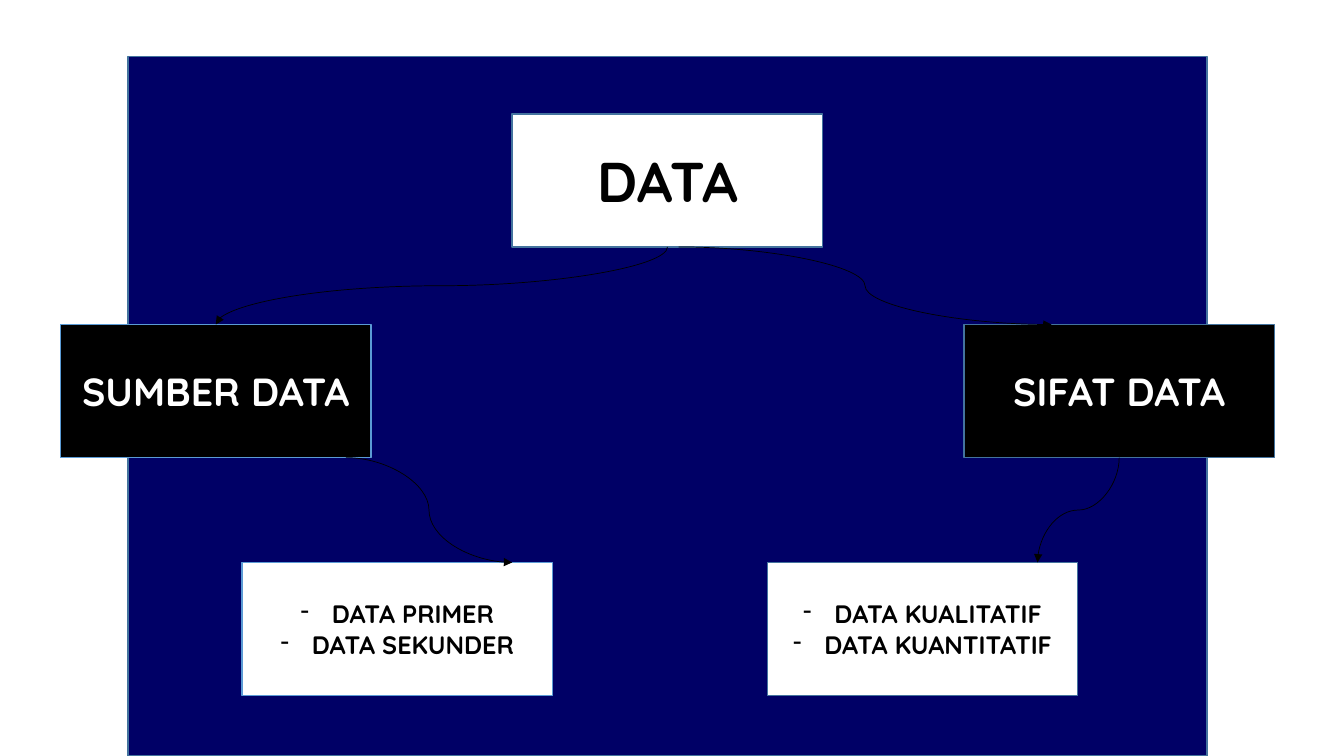
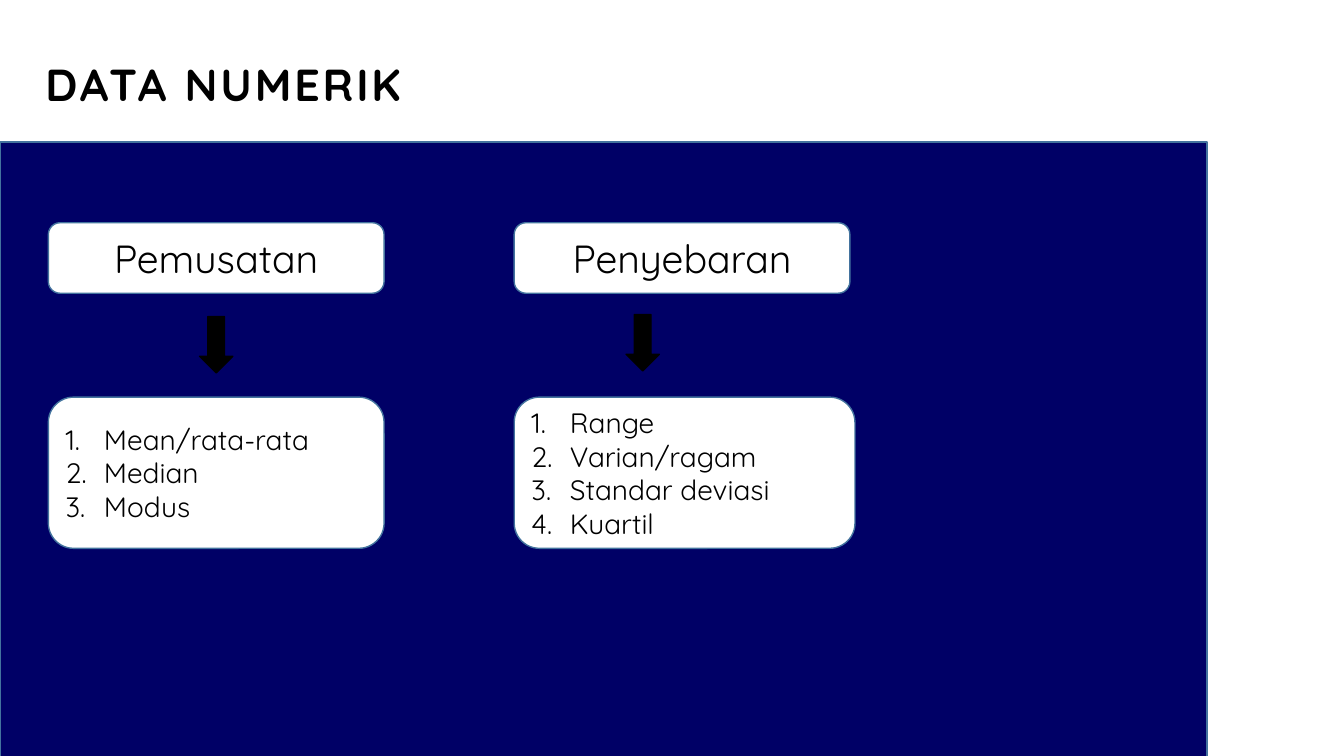
from lxml import etree
from pptx import Presentation
from pptx.dml.color import RGBColor
from pptx.enum import shapes, text
from pptx.oxml.ns import qn
from pptx.util import Inches, Pt

COLORS = {"navy": "000066", "white": "FFFFFF", "black": "000000",
          "edge": "43739E", "sky": "5B9BD5"}
FONT = "Quicksand"
SHAPE = shapes.MSO_SHAPE
ALIGN = text.PP_ALIGN


def rgb(name):
    return RGBColor.from_string(COLORS[name])


def add_bullet(p, tag, indent, **attrs):
    """Give a paragraph a hanging bullet or number."""
    pPr = p._p.get_or_add_pPr()
    pPr.set("marL", str(Inches(indent)))
    pPr.set("indent", str(-Inches(indent)))
    etree.SubElement(pPr, qn(tag), attrs)


def write(sp, lines, size=18, color="black", bold=False, align=ALIGN.CENTER,
          spacing=None, bullet=None):
    """Fill a shape with one paragraph per line."""
    tf = sp.text_frame
    tf.word_wrap = True
    tf.vertical_anchor = text.MSO_ANCHOR.MIDDLE
    for i, line in enumerate(lines):
        p = tf.add_paragraph() if i else tf.paragraphs[0]
        p.alignment = align
        if bullet:
            add_bullet(p, **bullet)
        r = p.add_run()
        r.text = line
        r.font.name, r.font.size, r.font.bold = FONT, Pt(size), bold
        r.font.color.rgb = rgb(color)
        if spacing:
            r._r.get_or_add_rPr().set("spc", str(spacing * 100))


def add_box(s, kind, box, fill="white", line="edge"):
    sp = s.shapes.add_shape(kind, *map(Inches, box))
    sp.shadow.inherit = False
    sp.fill.solid()
    sp.fill.fore_color.rgb = rgb(fill)
    sp.line.color.rgb = rgb(line)
    sp.line.width = Pt(1)
    return sp


def add_curve(s, start, end, vertical=False):
    """Curved arrow; a vertical one leaves downwards and runs to the left."""
    (x1, y1), (x2, y2) = start, end
    if vertical:  # lay it out sideways, then turn it about its centre
        cx, cy = (x1 + x2) / 2, (y1 + y2) / 2
        half_w, half_h = (y2 - y1) / 2, (x1 - x2) / 2
        x1, y1, x2, y2 = cx - half_w, cy - half_h, cx + half_w, cy + half_h
    cxn = s.shapes.add_connector(shapes.MSO_CONNECTOR.CURVE,
                                 *map(Inches, (x1, y1, x2, y2)))
    cxn.line.color.rgb = rgb("black")
    cxn.line.width = Pt(0.5)
    spPr = cxn._element.spPr
    if vertical:
        spPr.find(qn("a:xfrm")).set("rot", "5400000")
    etree.SubElement(spPr.find(qn("a:ln")), qn("a:tailEnd"), type="triangle")
    etree.SubElement(spPr, qn("a:effectLst"))


def data_tree_slide(prs):
    s = prs.slides.add_slide(prs.slide_layouts[6])
    add_box(s, SHAPE.RECTANGLE, (1.27, 0.56, 10.7, 6.94), "navy")

    # Tree nodes, all of one size
    w, h = 3.08, 1.32
    top, middle, bottom = 1.13, 3.22, 5.58
    dash = {"tag": "a:buChar", "indent": 0.31, "char": "-"}
    nodes = [
        (5.08, top, "white", "edge", ["DATA"], 40, None),
        (9.56, middle, "black", "edge", ["SIFAT DATA"], 28, None),
        (0.6, middle, "black", "sky", ["SUMBER DATA"], 28, None),
        (2.4, bottom, "white", "sky", ["DATA PRIMER", "DATA SEKUNDER"], 18, dash),
        (7.61, bottom, "white", "edge",
         ["DATA KUALITATIF", "DATA KUANTITATIF"], 18, dash),
    ]
    for x, y, fill, line, lines, size, bullet in nodes:
        sp = add_box(s, SHAPE.RECTANGLE, (x, y, w, h), fill, line)
        write(sp, lines, size, "white" if fill == "black" else "black",
              bold=True, bullet=bullet)

    # Arrows from each level to the next
    add_curve(s, (6.62, top + h), (2.14, middle), vertical=True)
    add_curve(s, (6.73, top + h), (10.43, middle))
    add_curve(s, (11.1, middle + h), (10.29, bottom), vertical=True)
    add_curve(s, (3.43, middle + h), (5.08, bottom))


def measure_column(s, x, heading, items, list_w, arrow_x, arrow_y):
    """Heading, down arrow and numbered list, placed from the left edge x."""
    sp = add_box(s, SHAPE.ROUNDED_RECTANGLE, (x, 2.21, 3.33, 0.7))
    write(sp, [heading], 28)
    sp = add_box(s, SHAPE.ROUNDED_RECTANGLE, (x, 3.94, list_w, 1.5))
    write(sp, items, 20, align=ALIGN.LEFT,
          bullet={"tag": "a:buAutoNum", "indent": 0.38, "type": "arabicPeriod"})
    add_box(s, SHAPE.DOWN_ARROW, (x + arrow_x, arrow_y, 0.33, 0.56),
            "black", "black")


def numeric_data_slide(prs):
    s = prs.slides.add_slide(prs.slide_layouts[5])
    add_box(s, SHAPE.RECTANGLE, (0, 1.41, 11.97, 6.12), "navy")

    # Title
    title = s.shapes.title
    title.left, title.top, title.width, title.height = map(
        Inches, (0.35, 0.25, 9.17, 1.15))
    write(title, ["DATA NUMERIK"], 32, bold=True, align=ALIGN.LEFT, spacing=2)

    # Columns
    measure_column(s, 0.48, "Pemusatan", ["Mean/rata-rata", "Median", "Modus"],
                   list_w=3.33, arrow_x=1.5, arrow_y=3.14)
    measure_column(s, 5.1, "Penyebaran",
                   ["Range", "Varian/ragam", "Standar deviasi", "Kuartil"],
                   list_w=3.38, arrow_x=1.11, arrow_y=3.12)


def main():
    prs = Presentation()
    prs.slide_width, prs.slide_height = Inches(13.33), Inches(7.5)
    data_tree_slide(prs)
    numeric_data_slide(prs)
    prs.save("out.pptx")


if __name__ == "__main__":
    main()
